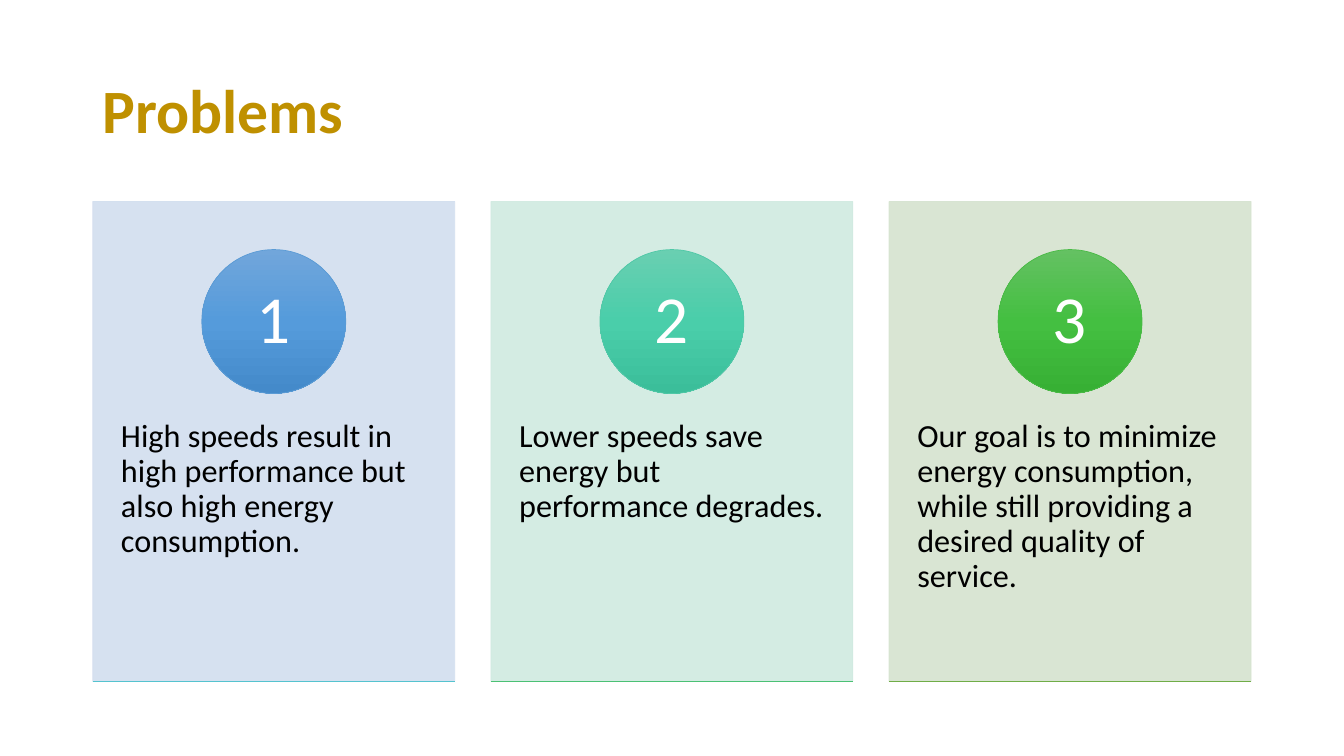
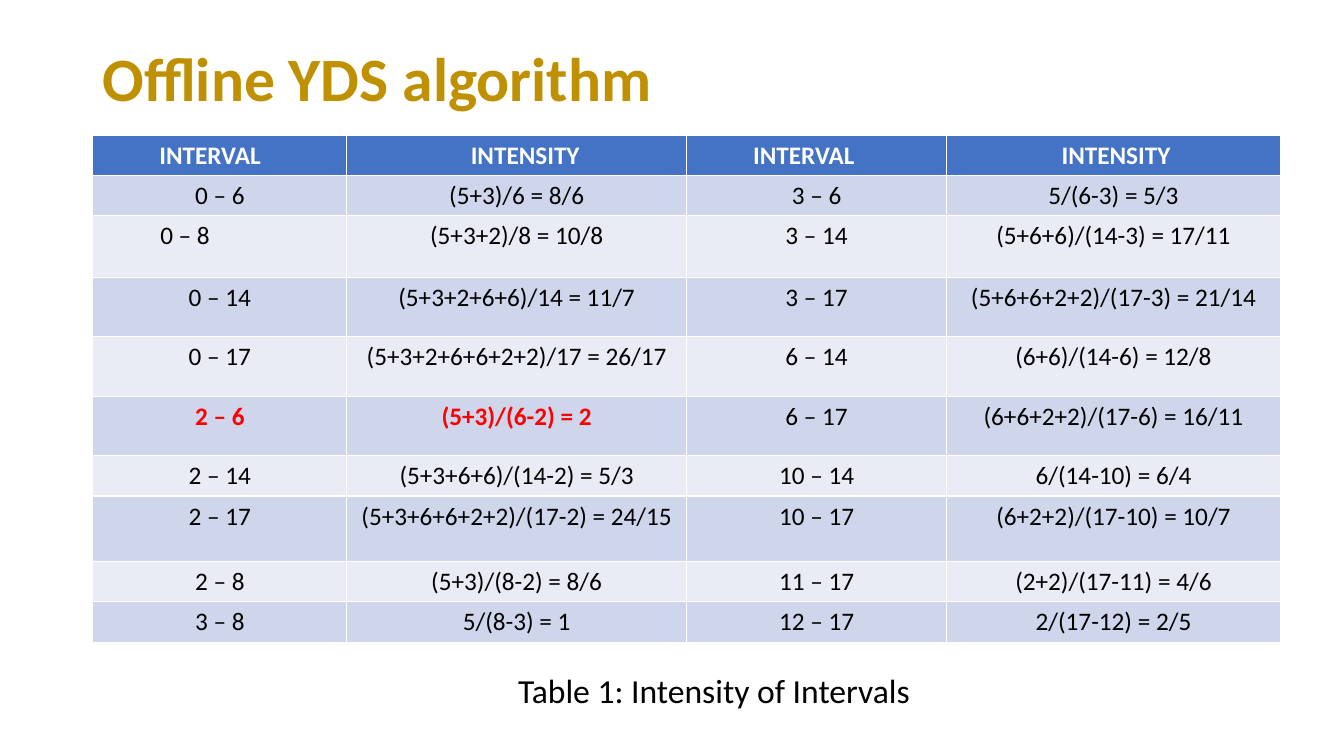
"""Builds two slides: three numbered problem cards and a table of interval intensities."""
from copy import deepcopy
from dataclasses import dataclass

from pptx import Presentation
from pptx.dml.color import RGBColor
from pptx.enum.shapes import MSO_CONNECTOR, MSO_SHAPE
from pptx.enum.text import MSO_ANCHOR, PP_ALIGN
from pptx.oxml.ns import qn
from pptx.oxml.xmlchemy import OxmlElement
from pptx.util import Inches, Pt


@dataclass(frozen=True)
class Theme:
    font: str = "Calibri"
    title: str = "BF9000"
    ink: str = "000000"
    light: str = "FFFFFF"
    alert: str = "FF0000"
    header: str = "4472C4"
    bands: tuple = ("CFD5EA", "E9EBF5")
    title_size: int = 44
    number_size: int = 48
    caption_size: int = 24
    card_size: int = 23
    table_size: int = 18
    hairline: float = 0.5


theme = Theme()


def write(frame, text, size, color=theme.ink, bold=False, align=PP_ALIGN.LEFT,
          spacing=1.0, anchor=None, inset=None):
    """Put one formatted paragraph into a text frame."""
    frame.word_wrap = True
    if anchor is not None:
        frame.vertical_anchor = anchor
    if inset is not None:
        frame.margin_left = frame.margin_right = Inches(inset[0])
        frame.margin_top = frame.margin_bottom = Inches(inset[1])
    para = frame.paragraphs[0]
    para.alignment = align
    para.line_spacing = spacing
    span = para.add_run()
    span.text = text
    span.font.name = theme.font
    span.font.size = Pt(size)
    span.font.bold = bold
    span.font.color.rgb = RGBColor.from_string(color)


def add_title(page, text, top):
    """Add the slide title in the shared style."""
    box = page.shapes.add_textbox(left, top, Inches(11.5), Inches(1.45))
    write(box.text_frame, text, theme.title_size, color=theme.title, bold=True,
          spacing=0.9, anchor=MSO_ANCHOR.MIDDLE)


deck = Presentation()
deck.slide_width, deck.slide_height = Inches(13.33), Inches(7.5)
blank = deck.slide_layouts[6]
left = Inches(0.92)

cards = [
    ("High speeds result in high performance but also high energy consumption.",
     "D2DEEF", ("71A6DB", "559BDB", "448ACA"), "5B9BD5", "55C3CF"),
    ("Lower speeds save energy but performance degrades.",
     "D0EAE1", ("69CFB1", "4ACEAA", "3BBE9A"), "50C8A7", "4BC174"),
    ("Our goal is to minimize energy consumption, while still providing a desired "
     "quality of service.",
     "D5E3CF", ("64C162", "44BF41", "37B034"), "4ABA46", "70AD47"),
]
page = deck.slides.add_slide(blank)
add_title(page, "Problems", Inches(0.4))
card_top, card_width, card_height = Inches(2), Inches(3.59), Inches(4.76)
card_step = int(card_width * 1.1)
card_bottom = card_top + card_height
disc_size = int(card_height * 0.3)

for index, (text, tint, shades, rim, base) in enumerate(cards):
    card_left = left + index * card_step
    card = page.shapes.add_shape(MSO_SHAPE.RECTANGLE, card_left, card_top, card_width, card_height)
    card.shadow.inherit = False
    card.fill.solid()
    card.fill.fore_color.rgb = RGBColor.from_string(tint)
    card.line.color.rgb = RGBColor.from_string(tint)
    card.line.width = Pt(theme.hairline)
    for color in card._element.spPr.iter(qn("a:srgbClr")):
        alpha = OxmlElement("a:alpha")
        alpha.set("val", "90000")
        color.append(alpha)

    box = page.shapes.add_textbox(card_left, card_top + int(card_height * 0.38),
                                  card_width, int(card_height * 0.6))
    write(box.text_frame, text, theme.card_size, spacing=0.9, inset=(0.28, 0.36))

    disc = page.shapes.add_shape(MSO_SHAPE.OVAL, card_left + (card_width - disc_size) // 2,
                                 card_top + int(card_height * 0.1), disc_size, disc_size)
    disc.shadow.inherit = False
    disc.fill.gradient()
    disc.fill.gradient_angle = 270
    stops = disc._element.spPr.find(".//" + qn("a:gsLst"))
    stops.insert(1, deepcopy(stops[0]))
    for step, (stop, shade) in enumerate(zip(disc.fill.gradient_stops, shades)):
        stop.position = step / 2
        stop.color.rgb = RGBColor.from_string(shade)
    disc.line.color.rgb = RGBColor.from_string(rim)
    disc.line.width = Pt(theme.hairline)
    write(disc.text_frame, str(index + 1), theme.number_size, color=theme.light,
          align=PP_ALIGN.CENTER, spacing=0.9, anchor=MSO_ANCHOR.MIDDLE, inset=(0.11, 0.01))

    rule = page.shapes.add_connector(MSO_CONNECTOR.STRAIGHT, card_left, card_bottom,
                                     card_left + card_width, card_bottom)
    rule.line.color.rgb = RGBColor.from_string(base)
    rule.line.width = Pt(theme.hairline)
    rule._element.spPr.append(OxmlElement("a:effectLst"))

rows = [
    ("INTERVAL", "INTENSITY", "INTERVAL", "INTENSITY"),
    ("0 – 6", "(5+3)/6 = 8/6", "3 – 6", "5/(6-3) = 5/3"),
    ("0 – 8", "(5+3+2)/8 = 10/8", "3 – 14", "(5+6+6)/(14-3) = 17/11"),
    ("0 – 14", "(5+3+2+6+6)/14 = 11/7", "3 – 17", "(5+6+6+2+2)/(17-3) = 21/14"),
    ("0 – 17", "(5+3+2+6+6+2+2)/17 = 26/17", "6 – 14", "(6+6)/(14-6) = 12/8"),
    ("2 – 6", "(5+3)/(6-2) = 2", "6 – 17", "(6+6+2+2)/(17-6) = 16/11"),
    ("2 – 14", "(5+3+6+6)/(14-2) = 5/3", "10 – 14", "6/(14-10) = 6/4"),
    ("2 – 17", "(5+3+6+6+2+2)/(17-2) = 24/15", "10 – 17", "(6+2+2)/(17-10) = 10/7"),
    ("2 – 8", "(5+3)/(8-2) = 8/6", "11 – 17", "(2+2)/(17-11) = 4/6"),
    ("3 – 8", "5/(8-3) = 1", "12 – 17", "2/(17-12) = 2/5"),
]
column_widths = (2.52, 3.37, 2.58, 3.31)
row_heights = (0.38, 0.38, 0.61, 0.59, 0.59, 0.59, 0.38, 0.65, 0.38, 0.38)
header_indents = (0.66, 0.27, 0.66, 0.15)
critical_cells = {(5, 0), (5, 1)}

page = deck.slides.add_slide(blank)
add_title(page, "Offline YDS algorithm", Inches(0.08))
table = page.shapes.add_table(len(rows), len(column_widths), left, Inches(1.34),
                              Inches(sum(column_widths)), Inches(sum(row_heights))).table
for column, width in zip(table.columns, column_widths):
    column.width = Inches(width)
for row, height in zip(table.rows, row_heights):
    row.height = Inches(height)

for row_index, row in enumerate(rows):
    is_header = row_index == 0
    fill = theme.header if is_header else theme.bands[(row_index - 1) % 2]
    for column_index, text in enumerate(row):
        cell = table.cell(row_index, column_index)
        cell.fill.solid()
        cell.fill.fore_color.rgb = RGBColor.from_string(fill)
        if is_header:
            cell.margin_left = Inches(header_indents[column_index])
        critical = (row_index, column_index) in critical_cells
        color = theme.light if is_header else theme.alert if critical else theme.ink
        align = PP_ALIGN.LEFT if is_header and text == "INTERVAL" else PP_ALIGN.CENTER
        write(cell.text_frame, text, theme.table_size, color=color,
              bold=is_header or critical, align=align)
table.cell(2, 0).margin_right = Inches(0.79)

caption = page.shapes.add_textbox(Inches(5.04), Inches(6.55), Inches(4.2), Inches(0.6))
write(caption.text_frame, "Table 1: Intensity of Intervals", theme.caption_size,
      anchor=MSO_ANCHOR.MIDDLE)

deck.save("out.pptx")
